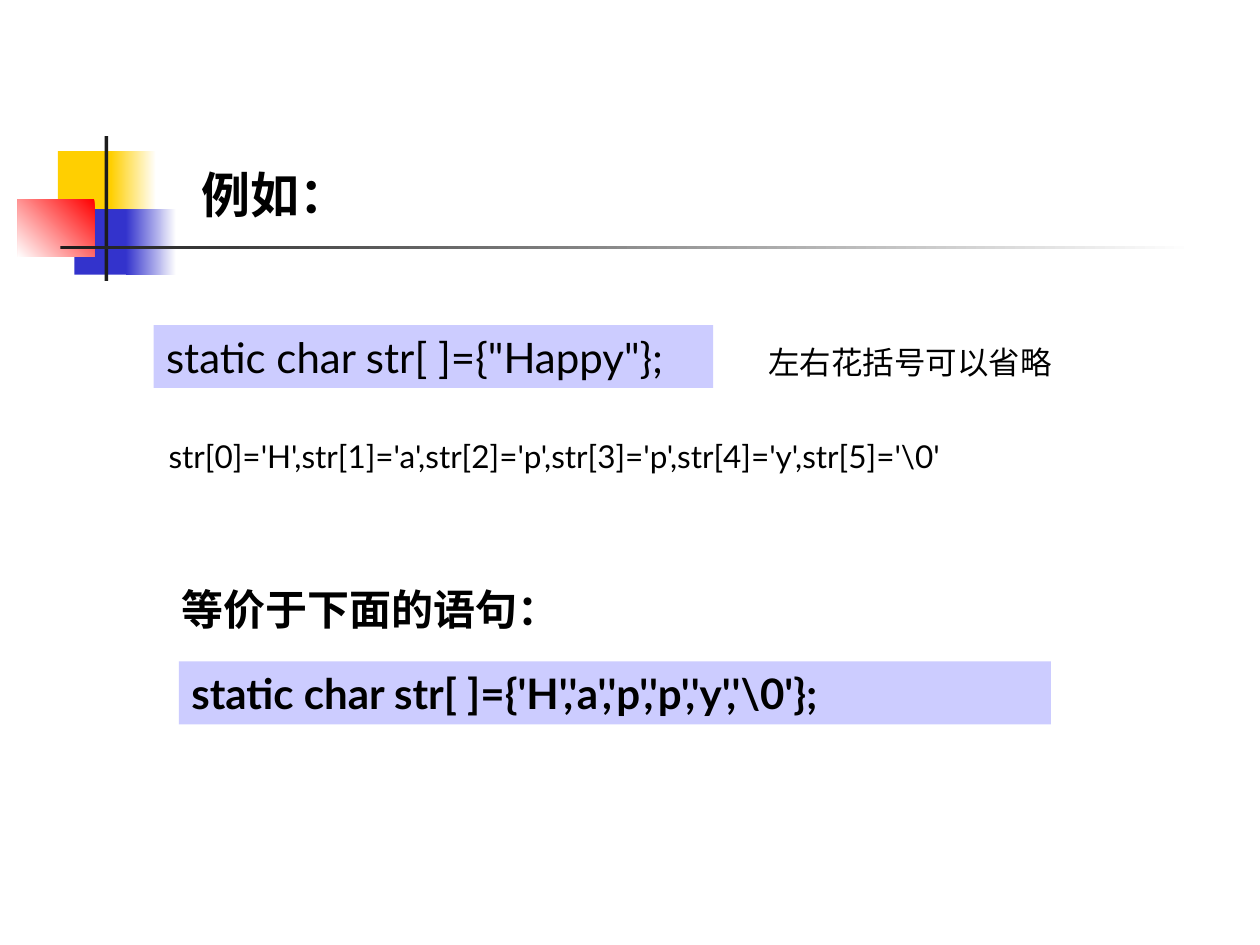
from dataclasses import dataclass
from typing import Optional

import pptx
import pptx.dml.color
import pptx.enum.shapes
import pptx.enum.text
import pptx.util

Inches = pptx.util.Inches
ALIGN = pptx.enum.text.PP_ALIGN
BLACK, WHITE, LAVENDER = "000000", "FFFFFF", "CCCCFF"
YELLOW, BLUE, RED, CHARCOAL = "FFCF01", "3333CC", "FF0000", "1C1C1C"


@dataclass
class Block:
    """A decorative rectangle, fading to white when an angle is given."""
    left: float
    top: float
    width: float
    height: float
    color: str
    fade_angle: Optional[int] = None


@dataclass
class Label:
    """A line of text, on a coloured panel when a fill is given."""
    text: str
    left: float
    top: float
    width: float
    height: float
    size: int
    font: str
    bold: bool = False
    fill: Optional[str] = None
    wrap: bool = True


def rgb(color: str) -> pptx.dml.color.RGBColor:
    return pptx.dml.color.RGBColor.from_string(color)


def place(item) -> tuple:
    return tuple(Inches(v) for v in (item.left, item.top, item.width, item.height))


def add_rectangle(slide, item, color: str):
    shape = slide.shapes.add_shape(pptx.enum.shapes.MSO_SHAPE.RECTANGLE, *place(item))
    shape.shadow.inherit = False
    shape.line.fill.background()
    shape.fill.solid()
    shape.fill.fore_color.rgb = rgb(color)
    return shape


def add_block(slide, block: Block) -> None:
    shape = add_rectangle(slide, block, block.color)
    if block.fade_angle is not None:
        shape.fill.gradient()
        shape.fill.gradient_angle = block.fade_angle
        for stop, color in zip(shape.fill.gradient_stops, (block.color, WHITE)):
            stop.color.rgb = rgb(color)


def write_text(shape, label: Label, anchor) -> None:
    frame = shape.text_frame
    frame.text = label.text
    frame_format = {
        "word_wrap": label.wrap,
        "auto_size": pptx.enum.text.MSO_AUTO_SIZE.NONE,
        "vertical_anchor": anchor,
    }
    for name, value in frame_format.items():
        setattr(frame, name, value)
    paragraph = frame.paragraphs[0]
    paragraph.alignment = ALIGN.LEFT
    font = paragraph.runs[0].font
    font_format = {"name": label.font, "size": pptx.util.Pt(label.size), "bold": label.bold}
    for name, value in font_format.items():
        setattr(font, name, value)
    font.color.rgb = rgb(BLACK)


def add_label(slide, label: Label) -> None:
    if label.fill:
        shape = add_rectangle(slide, label, label.fill)
    else:
        shape = slide.shapes.add_textbox(*place(label))
    write_text(shape, label, pptx.enum.text.MSO_ANCHOR.TOP)


def set_title(slide, label: Label) -> None:
    title = slide.shapes.title
    title.left, title.top, title.width, title.height = place(label)
    write_text(title, label, pptx.enum.text.MSO_ANCHOR.BOTTOM)


BLOCKS = [
    Block(0.46, 1.2, 0.48, 0.52, YELLOW),
    Block(0.88, 1.2, 0.36, 0.52, YELLOW, 0),
    Block(0.59, 1.66, 0.46, 0.52, BLUE),
    Block(1, 1.66, 0.4, 0.52, BLUE, 0),
    Block(0.14, 1.58, 0.61, 0.46, RED, 225),
    Block(0.83, 1.08, 0.03, 1.15, CHARCOAL),
    Block(0.48, 1.95, 9, 0.03, CHARCOAL, 0),
]

TITLE = Label("例如：", 1.5, 1.08, 2.32, 0.74, 28, "Times New Roman", bold=True)

LABELS = [
    Label(r"str[0]='H',str[1]='a',str[2]='p',str[3]='p',str[4]='y',str[5]='\0'",
          1.24, 3.42, 7.5, 0.4, 18, "Lato"),
    Label('static char str[ ]={"Happy"};', 1.22, 2.58, 4.44, 0.5, 24, "Lato", fill=LAVENDER),
    Label("左右花括号可以省略", 6, 2.67, 2.45, 0.4, 18, "Times New Roman", wrap=False),
    Label(r"static char str[ ]={'H','a','p','p','y','\0'};",
          1.42, 5.25, 6.92, 0.5, 24, "Lato", bold=True, fill=LAVENDER),
    Label("等价于下面的语句：", 1.34, 4.58, 3.2, 0.5, 24, "Times New Roman",
          bold=True, wrap=False),
]


def main() -> None:
    presentation = pptx.Presentation()
    presentation.slide_width, presentation.slide_height = Inches(10), Inches(7.5)
    slide = presentation.slides.add_slide(presentation.slide_layouts[5])

    # Corner ornament and title rule
    for block in BLOCKS:
        add_block(slide, block)

    # Title, code panels and remarks
    set_title(slide, TITLE)
    for label in LABELS:
        add_label(slide, label)

    presentation.save("out.pptx")


if __name__ == "__main__":
    main()
